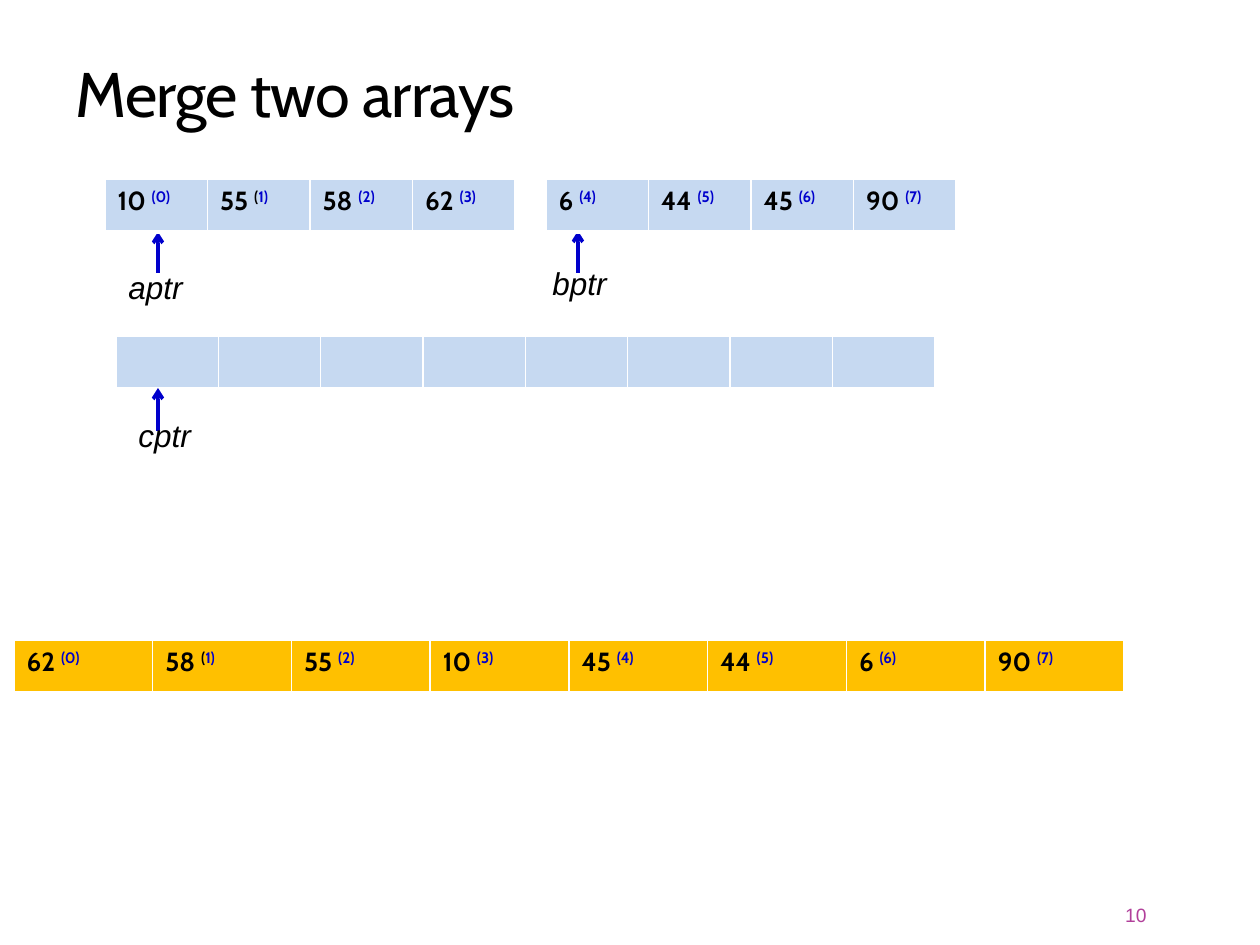
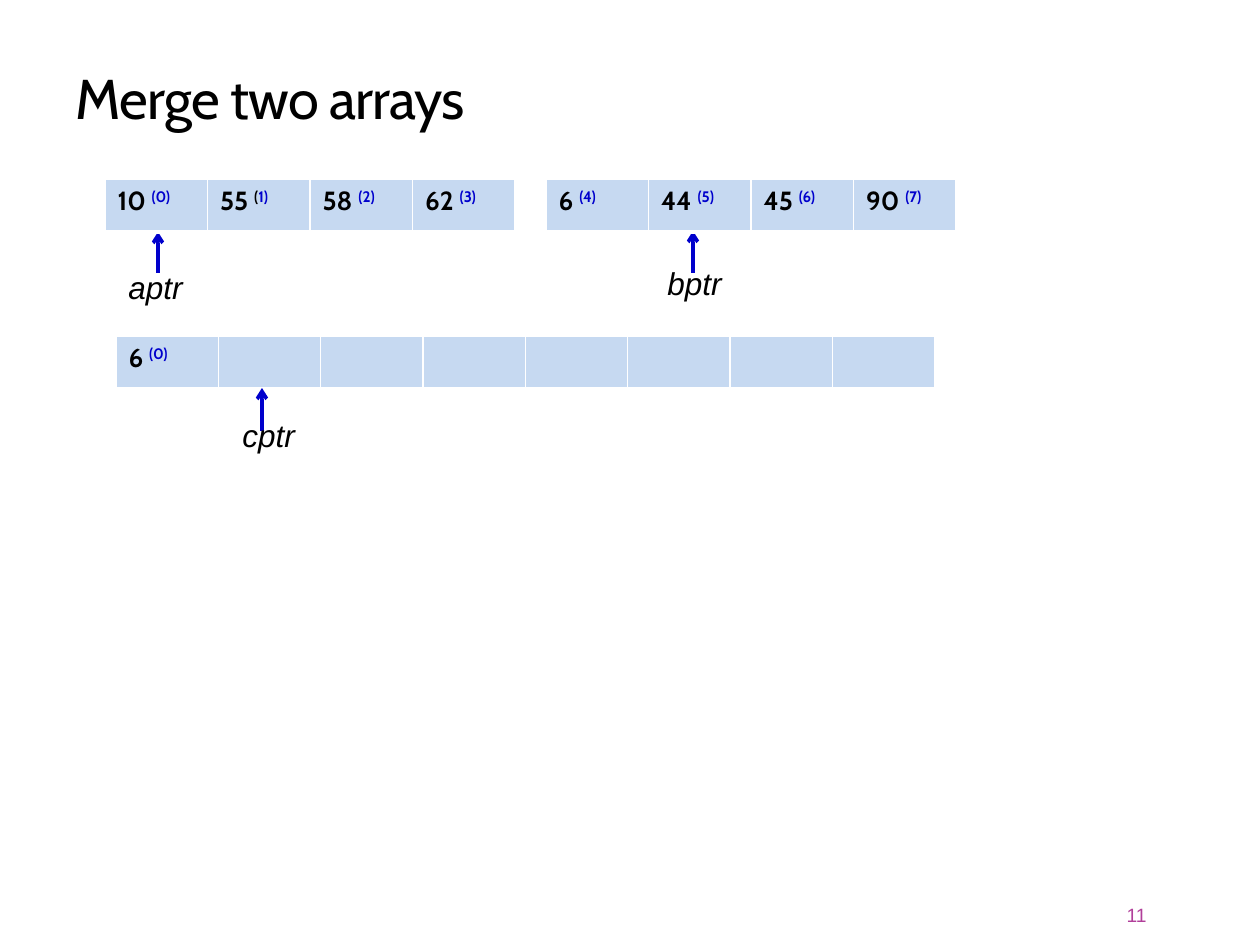
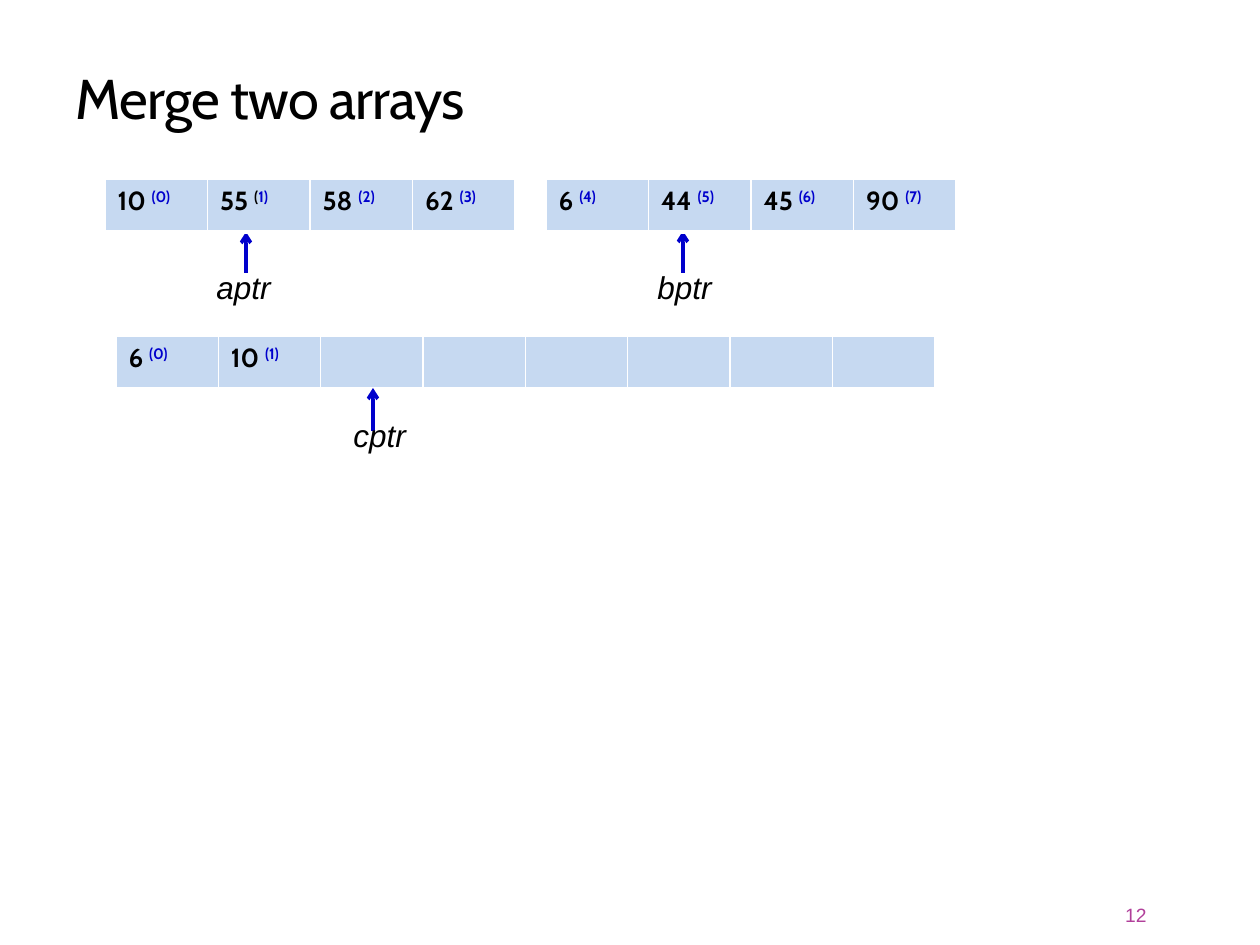
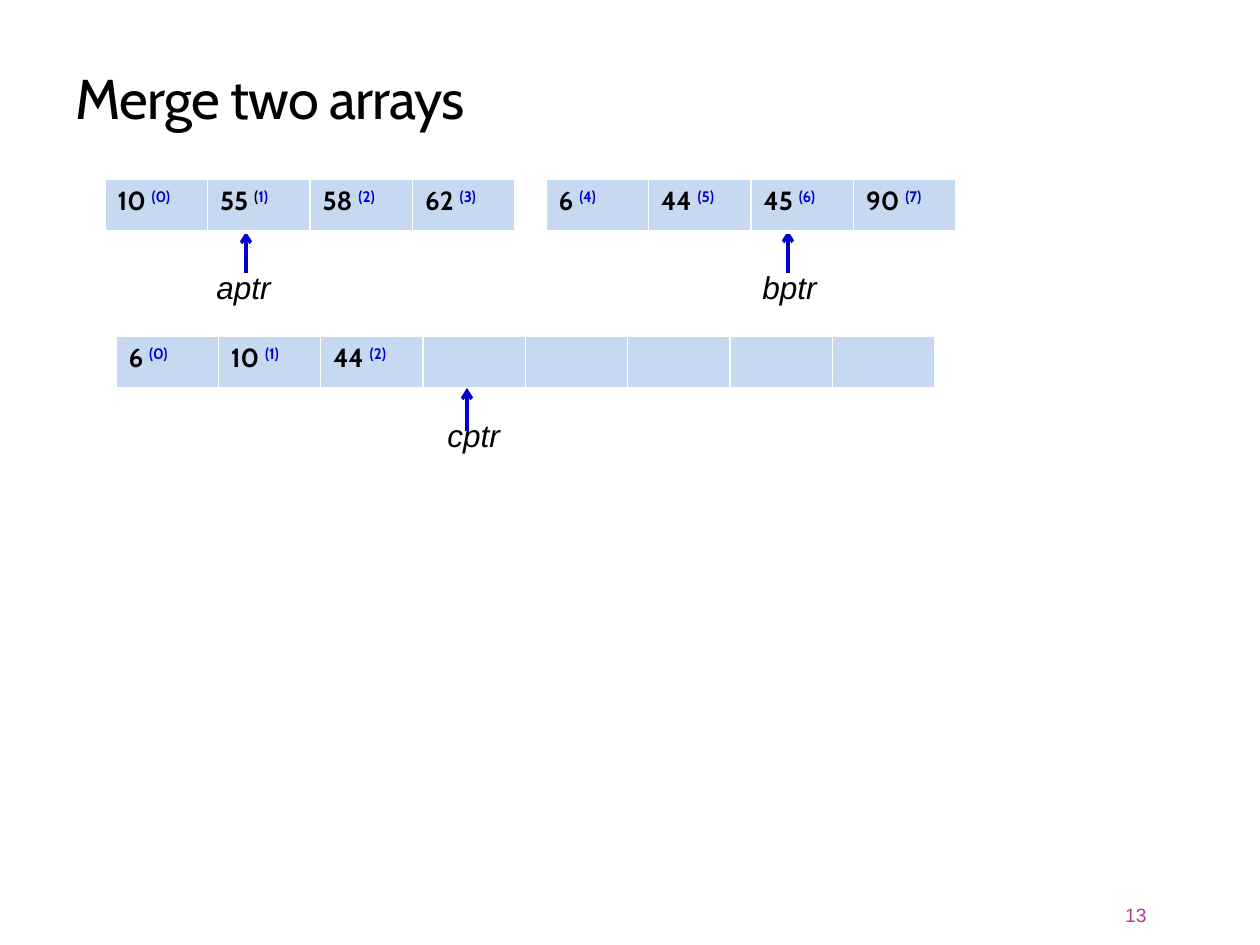
from lxml.etree import SubElement
from pptx import Presentation
from pptx.dml.color import RGBColor
from pptx.enum.shapes import MSO_CONNECTOR
from pptx.enum.text import MSO_ANCHOR, MSO_AUTO_SIZE, PP_ALIGN
from pptx.oxml.ns import qn
from pptx.util import Emu, Pt

BLACK = RGBColor(0x00, 0x00, 0x00)
BLUE = RGBColor(0x00, 0x00, 0xCC)
PALE_BLUE = RGBColor(0xC6, 0xD9, 0xF1)
ORANGE = RGBColor(0xFF, 0xC0, 0x00)
MAGENTA = RGBColor(0xB1, 0x3F, 0x9A)
WHITE = RGBColor(0xFF, 0xFF, 0xFF)

BORDERS = {"lnL": 1, "lnR": 1, "lnT": 1, "lnB": 3}
ROW_HEIGHT = 53
POINTERS = {
    "aptr": dict(tail=273, tip=232, shift=42, width=81),
    "bptr": dict(tail=273, tip=231, shift=38, width=81),
    "cptr": dict(tail=431, tip=388, shift=32, width=78),
}
LEFT_HALF = [10, 55, 58, 62]
RIGHT_HALF = [6, 44, 45, 90]
UNSORTED = [62, 58, 55, 10, 45, 44, 6, 90]
STEPS = [
    dict(title_size=36, merged=[], aptr=(158, 262), bptr=(578, 258), cptr=(158, 410)),
    dict(title_size=32, merged=[6], aptr=(158, 262), bptr=(693, 258), cptr=(262, 410)),
    dict(title_size=32, merged=[6, 10], aptr=(246, 262), bptr=(683, 262), cptr=(373, 410)),
    dict(title_size=32, merged=[6, 10, 44], aptr=(246, 262), bptr=(788, 262), cptr=(467, 410)),
]
FIRST_PAGE = 10


def px(n):
    return Emu(round(n * 914400 / 126))


def add_text(p, text, font="Cabin", size=15, color=BLACK, bold=False, italic=False,
             baseline=0, spacing=0):
    r = p.add_run()
    r.text = text
    r.font.name = font
    r.font.size = Pt(size)
    r.font.color.rgb = color
    r.font.bold = bold
    r.font.italic = italic
    rPr = r.font._element
    if baseline:
        rPr.set("baseline", str(baseline * 1000))
    if spacing:
        rPr.set("spc", str(round(spacing * 100)))


class Deck:
    def __init__(self):
        self.prs = Presentation()
        self.prs.slide_width, self.prs.slide_height = px(1260), px(945)
        self.s = None

    def slide(self, title, size):
        self.s = self.prs.slides.add_slide(self.prs.slide_layouts[5])
        sp = self.s.shapes.title
        sp.left, sp.top, sp.width, sp.height = px(63), px(21), px(998), px(116)
        tf = sp.text_frame
        tf.vertical_anchor = MSO_ANCHOR.BOTTOM
        tf.auto_size = MSO_AUTO_SIZE.NONE
        p = tf.paragraphs[0]
        p.alignment = PP_ALIGN.LEFT
        p.line_spacing = 0.85
        add_text(p, title, size=size, spacing=-0.5)

    def text(self, text, x, y, w, h, align=PP_ALIGN.LEFT, anchor=MSO_ANCHOR.TOP,
             wrap=True, **fmt):
        tf = self.s.shapes.add_textbox(px(x), px(y), px(w), px(h)).text_frame
        tf.word_wrap = wrap
        tf.auto_size = MSO_AUTO_SIZE.NONE if wrap else MSO_AUTO_SIZE.SHAPE_TO_FIT_TEXT
        tf.vertical_anchor = anchor
        p = tf.paragraphs[0]
        p.alignment = align
        add_text(p, text, **fmt)

    def array(self, values, x, y, w, length=None, start=0, fill=PALE_BLUE, black_paren=None):
        length = length or len(values)
        frame = self.s.shapes.add_table(1, length, px(x), px(y), px(w), px(ROW_HEIGHT))
        table = frame.table
        table.first_row = table.horz_banding = False
        for i, cell in enumerate(table.rows[0].cells):
            self.cell_style(cell, fill)
            p = cell.text_frame.paragraphs[0]
            if i < len(values):
                add_text(p, f"{values[i]} ", bold=True)
                paren_color = BLACK if i == black_paren else BLUE
                add_text(p, "(", bold=True, color=paren_color, baseline=30)
                add_text(p, f"{start + i})", bold=True, color=BLUE, baseline=30)
            else:
                p.font.size = Pt(15)

    def cell_style(self, cell, fill):
        tcPr = cell._tc.get_or_add_tcPr()
        for side, width in BORDERS.items():
            ln = SubElement(tcPr, qn(f"a:{side}"), w=str(Pt(width)))
            solid = SubElement(ln, qn("a:solidFill"))
            SubElement(solid, qn("a:srgbClr"), val=str(WHITE))
        cell.fill.solid()
        cell.fill.fore_color.rgb = fill

    def arrow(self, x, y1, y2):
        c = self.s.shapes.add_connector(MSO_CONNECTOR.STRAIGHT, px(x), px(y1), px(x), px(y2))
        c.line.color.rgb = BLUE
        c.line.width = Pt(2)
        SubElement(c.line._get_or_add_ln(), qn("a:tailEnd"), type="arrow")
        SubElement(c._element.spPr, qn("a:effectLst"))

    def pointer(self, name, x, label_y):
        style = POINTERS[name]
        self.arrow(x, style["tail"], style["tip"])
        self.text(name, x - style["shift"], label_y, style["width"], 50, wrap=False,
                  font="Arial", size=18, italic=True)

    def page_number(self, number):
        self.text(str(number), 1023, 890, 136, 50, align=PP_ALIGN.RIGHT,
                  anchor=MSO_ANCHOR.MIDDLE, font="Arial", size=11, color=MAGENTA)


def main():
    deck = Deck()
    for page, step in enumerate(STEPS, FIRST_PAGE):
        deck.slide("Merge two arrays", step["title_size"])
        deck.array(step["merged"], 116, 336, 819, length=8)
        for name in POINTERS:
            deck.pointer(name, *step[name])
        deck.array(LEFT_HALF, 105, 179, 410, black_paren=1)
        deck.array(RIGHT_HALF, 546, 179, 410, start=4)
        if page == FIRST_PAGE:
            deck.array(UNSORTED, 14, 640, 1110, fill=ORANGE, black_paren=1)
        deck.page_number(page)
    deck.prs.save("out.pptx")


if __name__ == "__main__":
    main()
